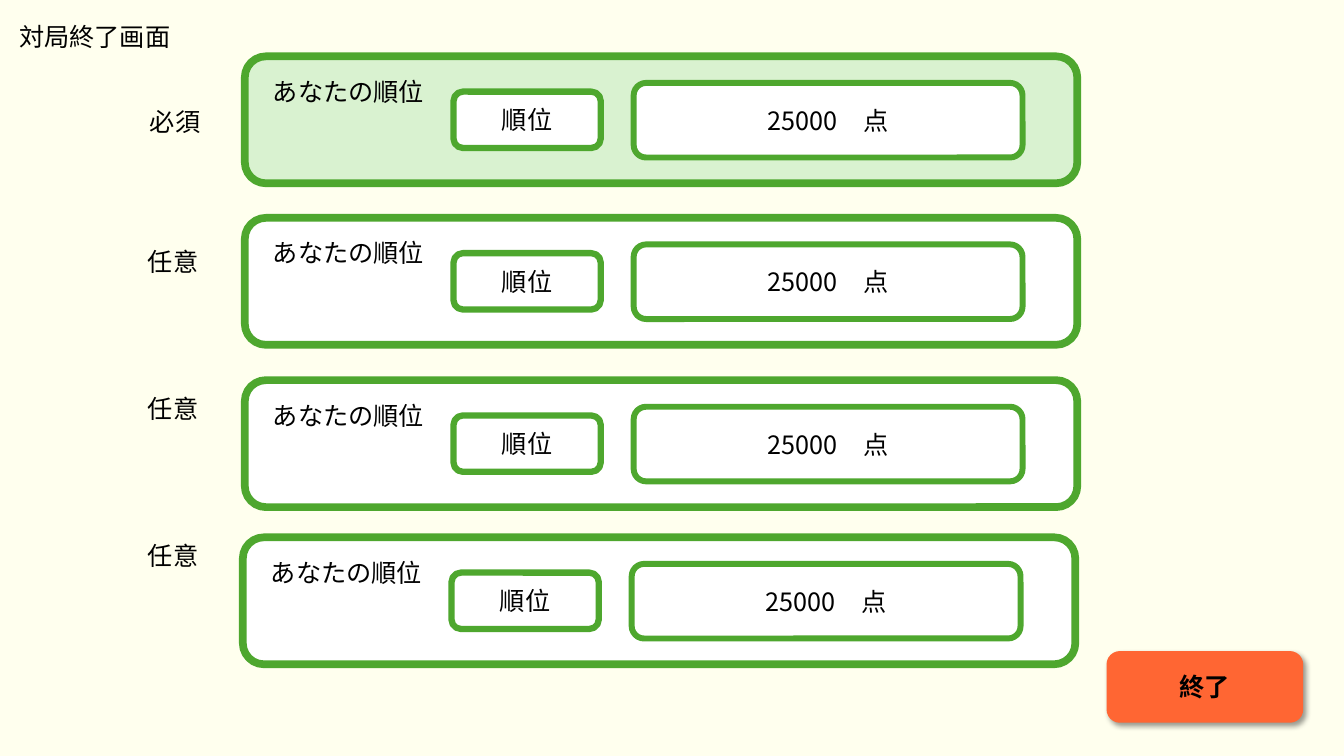
from dataclasses import dataclass

from lxml import etree
from pptx import Presentation
from pptx.dml.color import RGBColor
from pptx.enum.shapes import MSO_SHAPE
from pptx.enum.text import MSO_ANCHOR, MSO_AUTO_SIZE, PP_ALIGN
from pptx.oxml.ns import qn
from pptx.util import Cm, Pt

ROUNDED = MSO_SHAPE.ROUNDED_RECTANGLE
LEFT, CENTER = PP_ALIGN.LEFT, PP_ALIGN.CENTER
MIDDLE = MSO_ANCHOR.MIDDLE
NO_AUTOFIT = MSO_AUTO_SIZE.NONE
TITLE_ONLY = 5


@dataclass(frozen=True)
class Theme:
    font: str = "Noto Sans CJK JP"
    size: float = 18
    background: str = "FFFFEE"
    text: str = "000000"
    green: str = "4EA72E"
    pale_green: str = "D9F2D0"
    white: str = "FFFFFF"
    orange: str = "FF6633"
    panel_line: float = 5.5
    rank_line: float = 4.5
    score_line: float = 4.25
    button_line: float = 3


THEME = Theme()

# requirement, its left and top, panel left and top, panel fill
PLAYER_ROWS = [
    ("必須", 3.53, 2.54, 6.17, 1.42, THEME.pale_green),
    ("任意", 3.48, 6.07, 6.17, 5.49, THEME.white),
    ("任意", 3.48, 9.78, 6.17, 9.58, THEME.white),
    ("任意", 3.48, 13.49, 6.12, 13.54, THEME.white),
]


def color(value):
    return RGBColor.from_string(value)


def write(shape, text, alignment, bold=False):
    frame = shape.text_frame
    frame.vertical_anchor = MIDDLE
    paragraph = frame.paragraphs[0]
    paragraph.alignment = alignment
    run = paragraph.add_run()
    run.text = text
    font = run.font
    font.name = THEME.font
    font.size = Pt(THEME.size)
    font.bold = bold
    font.color.rgb = color(THEME.text)
    east_asian = etree.SubElement(font._element, qn("a:ea"))
    east_asian.set("typeface", THEME.font)


def add_label(slide, text, left, top, width):
    label = slide.shapes.add_textbox(Cm(left), Cm(top), Cm(width), Cm(1.02))
    label.text_frame.word_wrap = False
    write(label, text, LEFT)


def add_rounded_box(slide, left, top, width, height, fill, line, line_width):
    box = slide.shapes.add_shape(ROUNDED, Cm(left), Cm(top), Cm(width), Cm(height))
    box.shadow.inherit = False
    box.fill.solid()
    box.fill.fore_color.rgb = color(fill)
    box.line.color.rgb = color(line)
    box.line.width = Pt(line_width)
    return box


def add_shadow(shape):
    """Fill the shape's empty effect list with a soft shadow to the lower right."""
    effects = shape._element.spPr.find(qn("a:effectLst"))
    shadow = etree.SubElement(effects, qn("a:outerShdw"), blurRad=str(Pt(4)),
                              dist=str(Pt(3)), dir=str(45 * 60000), rotWithShape="0")
    shade = etree.SubElement(shadow, qn("a:srgbClr"), val=THEME.text)
    etree.SubElement(shade, qn("a:alpha"), val="40000")


def add_title(slide, left, top, width, height):
    title = slide.shapes.title
    title.left, title.top, title.width, title.height = map(Cm, (left, top, width, height))
    title.text_frame.word_wrap = False
    title.text_frame.auto_size = NO_AUTOFIT
    write(title, "対局終了画面", LEFT)


def add_player_panel(slide, left, top, fill):
    add_rounded_box(slide, left, top, 20.98, 3.2, fill, THEME.green, THEME.panel_line)
    add_label(slide, "あなたの順位", left + 0.46, top + 0.37, 4.37)
    rank = add_rounded_box(slide, left + 5.26, top + 0.89, 3.71, 1.42,
                           THEME.white, THEME.green, THEME.rank_line)
    write(rank, "順位", CENTER)
    score = add_rounded_box(slide, left + 9.8, top + 0.67, 9.8, 1.88,
                            THEME.white, THEME.green, THEME.score_line)
    write(score, "25000　点", CENTER)


def add_finish_button(slide, left, top, width, height):
    button = add_rounded_box(slide, left, top, width, height,
                             THEME.orange, THEME.orange, THEME.button_line)
    add_shadow(button)
    write(button, "終了", CENTER, bold=True)


def main():
    presentation = Presentation()
    presentation.slide_width = Cm(33.87)
    presentation.slide_height = Cm(19.05)
    slide = presentation.slides.add_slide(presentation.slide_layouts[TITLE_ONLY])
    background = slide.background.fill
    background.solid()
    background.fore_color.rgb = color(THEME.background)

    add_title(slide, 0.23, 0.41, 4.37, 1.02)
    for requirement, label_left, label_top, left, top, fill in PLAYER_ROWS:
        add_label(slide, requirement, label_left, label_top, 1.8)
        add_player_panel(slide, left, top, fill)
    add_finish_button(slide, 27.94, 16.46, 4.85, 1.7)
    presentation.save("out.pptx")


if __name__ == "__main__":
    main()
